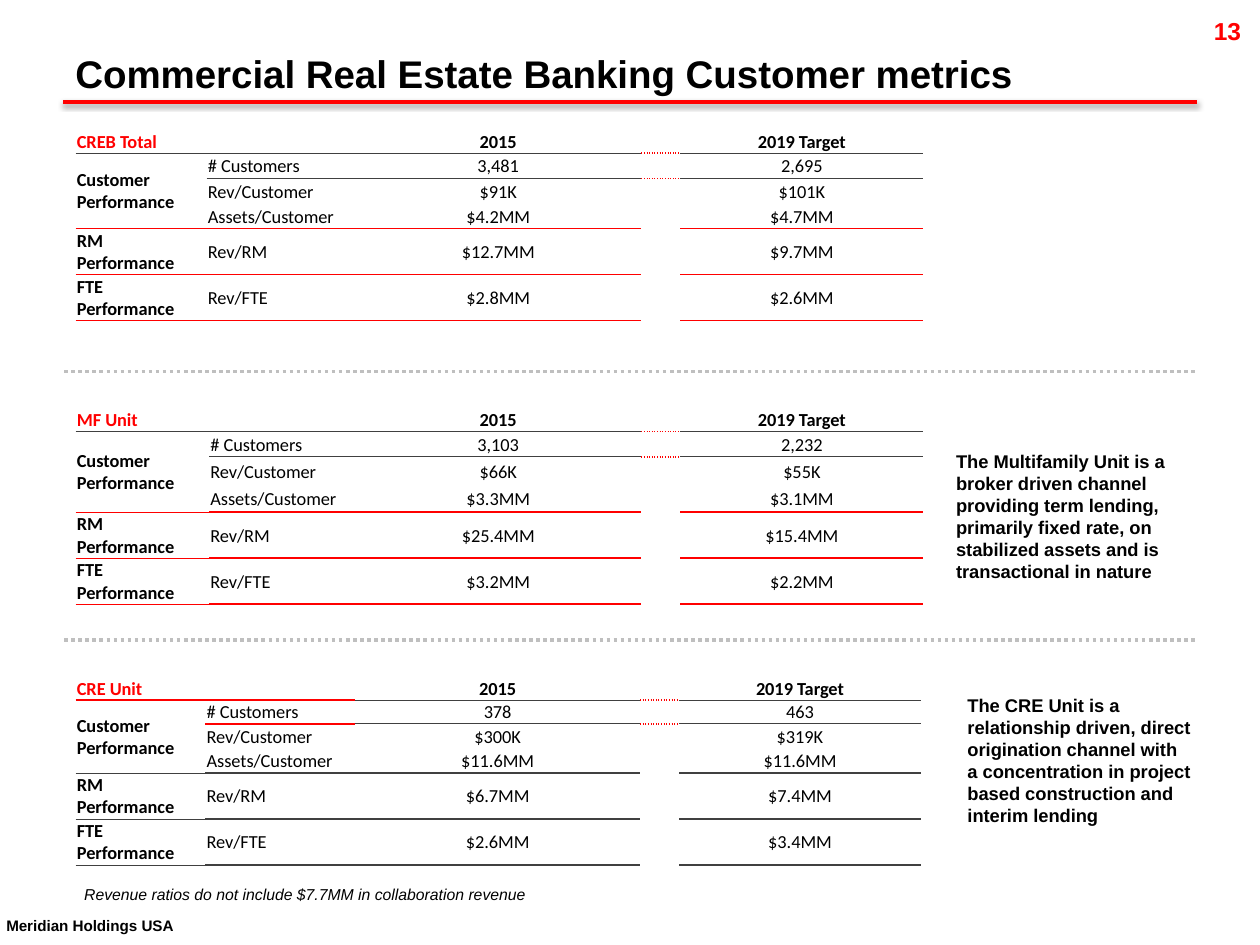
import dataclasses

import lxml.etree
import pptx
import pptx.dml.color
import pptx.enum.dml
import pptx.enum.shapes
import pptx.enum.text
import pptx.oxml
import pptx.oxml.ns
import pptx.util

ALIGN = pptx.enum.text.PP_ALIGN
ANCHOR = pptx.enum.text.MSO_ANCHOR
PLAIN_TABLE_STYLE = "{2D5ABB26-0587-4C30-8999-92F81FD0307C}"


@dataclasses.dataclass(frozen=True)
class Theme:
    """Colours, fonts and type sizes of the slide."""
    red: str = "FF0000"
    black: str = "000000"
    rule: str = "404040"
    divider: str = "BFBFBF"
    heading_font: str = "Arial"
    table_font: str = "Calibri"
    title: float = 22
    number: float = 14
    footer: float = 15
    body: float = 10.5
    footnote: float = 9


@dataclasses.dataclass(frozen=True)
class Box:
    """A place on a grid of 100 columns by 75 rows."""
    left: float
    top: float
    width: float
    height: float


@dataclasses.dataclass(frozen=True)
class Unit:
    """The figures, row heights and line colours of one metrics table."""
    name: str
    current: tuple
    target: tuple
    columns: tuple
    rows: tuple
    name_rule: str
    header_rule: str
    group_rule: str


THEME = Theme()
GRID = pptx.util.Inches(0.1)
METRICS = ("# Customers", "Rev/Customer", "Assets/Customer", "Rev/RM", "Rev/FTE")
GROUPS = {1: "Customer Performance", 4: "RM\nPerformance", 5: "FTE\nPerformance"}
GROUP_ENDS = (3, 4, 5)
GAP_COLUMN = 3


def grid(*lengths):
    """Turn grid steps into slide lengths."""
    return [pptx.util.Emu(round(length * GRID)) for length in lengths]


def style(paragraph, size, color, font=THEME.heading_font, bold=True, italic=False,
          align=ALIGN.LEFT):
    """Set the alignment and font of a paragraph."""
    paragraph.alignment = align
    paragraph.font.name = font
    paragraph.font.size = pptx.util.Pt(size)
    paragraph.font.bold = bold
    paragraph.font.italic = italic
    paragraph.font.color.rgb = pptx.dml.color.RGBColor.from_string(color)


def add_text(slide, box, text, size, color=THEME.black, anchor=ANCHOR.TOP, inset=1, **options):
    """Place a wrapped line of text in a box."""
    shape = slide.shapes.add_textbox(*grid(box.left, box.top, box.width, box.height))
    frame = shape.text_frame
    frame.word_wrap = True
    frame.vertical_anchor = anchor
    frame.margin_left, frame.margin_right = grid(inset, inset)
    paragraph = frame.paragraphs[0]
    paragraph.text = text
    style(paragraph, size, color, **options)
    return paragraph


def add_rule(slide, box, color, dash=None, shadow=False):
    """Draw a horizontal rule along the top of a box."""
    left, top, right = grid(box.left, box.top, box.left + box.width)
    connector = slide.shapes.add_connector(
        pptx.enum.shapes.MSO_CONNECTOR.STRAIGHT, left, top, right, top)
    connector.line.width = pptx.util.Pt(2)
    connector.line.color.rgb = pptx.dml.color.RGBColor.from_string(color)
    if dash:
        connector.line.dash_style = dash
    properties = connector._element.spPr
    effects = lxml.etree.SubElement(properties, pptx.oxml.ns.qn("a:effectLst"))
    if shadow:
        effects.append(pptx.oxml.parse_xml(
            f'<a:outerShdw {pptx.oxml.ns.nsdecls("a")} blurRad="39370" dist="20320" '
            'dir="5400000" rotWithShape="0"><a:srgbClr val="000000">'
            '<a:alpha val="38000"/></a:srgbClr></a:outerShdw>'))


def add_border(cell, side, color, width, dash="solid"):
    """Add one line to a cell, in the order top then bottom."""
    cell._tc.get_or_add_tcPr().append(pptx.oxml.parse_xml(
        f'<a:ln{side} {pptx.oxml.ns.nsdecls("a")} w="{round(width * 12700)}">'
        f'<a:solidFill><a:srgbClr val="{color}"/></a:solidFill>'
        f'<a:prstDash val="{dash}"/></a:ln{side}>'))


def line_below(unit, row, column):
    """Give the colour, width and dash of the line under a cell, if it has one."""
    if row == 0:
        if column == GAP_COLUMN:
            return THEME.red, 1, "sysDot"
        if column < 2:
            return unit.name_rule, 1 if unit.name_rule == THEME.red else 0.5
        return unit.header_rule, 0.5
    if row in GROUP_ENDS and column != GAP_COLUMN:
        return unit.group_rule, 0.5 if column == 0 else 1
    return None


def fill_cell(cell, text, color, bold, align):
    """Write one table cell with tight margins and no fill."""
    cell.fill.background()
    cell.vertical_anchor = ANCHOR.MIDDLE
    cell.margin_left, cell.margin_top, cell.margin_right, cell.margin_bottom = grid(
        0.1, 0.1, 0.1, 0)
    cell.text = text
    for paragraph in cell.text_frame.paragraphs:
        style(paragraph, THEME.body, color, THEME.table_font, bold, align=align)
        if not text:
            end = lxml.etree.SubElement(paragraph._p, pptx.oxml.ns.qn("a:endParaRPr"))
            end.set("sz", str(round(THEME.body * 100)))


def add_metrics(slide, box, unit):
    """Build the table of one unit: groups, metrics, 2015 and target."""
    frame = slide.shapes.add_table(
        len(unit.rows), len(unit.columns), *grid(box.left, box.top, box.width, box.height))
    table = frame.table
    table.first_row = table.horz_banding = False
    table._tbl.tblPr.find(pptx.oxml.ns.qn("a:tableStyleId")).text = PLAIN_TABLE_STYLE
    for column, width in zip(table.columns, grid(*unit.columns)):
        column.width = width
    for row, height in zip(table.rows, grid(*unit.rows)):
        row.height = height
    lines = [[unit.name, "", "2015", "", "2019 Target"]]
    for row, values in enumerate(zip(METRICS, unit.current, unit.target), 1):
        metric, current, target = values
        lines.append([GROUPS.get(row, ""), metric, current, "", target])
    for row, texts in enumerate(lines):
        for column, text in enumerate(texts):
            cell = table.cell(row, column)
            above = line_below(unit, row - 1, column) if row else None
            last_row = 3 if (row, column) == (1, 0) else row
            below = line_below(unit, last_row, column)
            for side, line in (("T", above), ("B", below)):
                if line:
                    add_border(cell, side, *line)
            fill_cell(cell, text, THEME.red if row == column == 0 else THEME.black,
                      row == 0 or column == 0, ALIGN.CENTER if column > 1 else ALIGN.LEFT)
    table.cell(0, 0).merge(table.cell(0, 1))
    table.cell(1, 0).merge(table.cell(3, 0))


def add_header(slide, box):
    """Place the slide number, title and red rule."""
    add_text(slide, Box(box.left + 90.5, box.top + 0.8, 3.6, 3.4), "13", THEME.number,
             THEME.red, inset=0.6, align=ALIGN.RIGHT)
    add_text(slide, Box(box.left, box.top + 3.4, box.width, 4.7),
             "Commercial Real Estate Banking Customer metrics", THEME.title,
             anchor=ANCHOR.BOTTOM)
    add_rule(slide, Box(box.left, box.top + box.height, box.width, 0), THEME.red, shadow=True)


def add_footer(slide, box):
    """Place the footnote and the raised company name."""
    add_text(slide, Box(box.left + 5.7, box.top, 62.3, 2.5),
             "Revenue ratios do not include $7.7MM in collaboration revenue",
             THEME.footnote, bold=False, italic=True)
    company = add_text(slide, Box(box.left, box.top + 2.7, 19, 2.6), "Meridian Holdings USA",
                       THEME.footer, anchor=ANCHOR.MIDDLE, inset=0.5)
    company.runs[0]._r.get_or_add_rPr().set("baseline", "30000")


def main():
    """Build and save the slide."""
    presentation = pptx.Presentation()
    presentation.slide_width, presentation.slide_height = grid(100, 75)
    slide = presentation.slides.add_slide(presentation.slide_layouts[6])
    red, rule = THEME.red, THEME.rule
    add_header(slide, Box(5, 0, 90, 8.1))
    add_metrics(slide, Box(6, 10.3, 67.3, 15.1), Unit(
        "CREB Total", ("3,481", "$91K", "$4.2MM", "$12.7MM", "$2.8MM"),
        ("2,695", "$101K", "$4.7MM", "$9.7MM", "$2.6MM"),
        (10.4, 11.8, 22.7, 3.1, 19.3), (1.85, 2, 2.1, 1.9, 3.65, 3.65), rule, rule, red))
    add_metrics(slide, Box(6, 32.4, 67.3, 15.5), Unit(
        "MF Unit", ("3,103", "$66K", "$3.3MM", "$25.4MM", "$3.2MM"),
        ("2,232", "$55K", "$3.1MM", "$15.4MM", "$2.2MM"),
        (10.6, 11.6, 22.7, 3.1, 19.3), (1.85, 2, 2.3, 2.1, 3.65, 3.65), rule, rule, red))
    add_metrics(slide, Box(6, 53.7, 67.1, 14.9), Unit(
        "CRE Unit", ("378", "$300K", "$11.6MM", "$6.7MM", "$2.6MM"),
        ("463", "$319K", "$11.6MM", "$7.4MM", "$3.4MM"),
        (10.3, 11.9, 22.6, 3.1, 19.2), (1.85, 1.9, 2, 1.9, 3.65, 3.65), red, rule, rule))
    for top in (29.5, 50.8):
        add_rule(slide, Box(5.1, top, 90, 0), THEME.divider,
                 pptx.enum.dml.MSO_LINE.ROUND_DOT)
    add_text(slide, Box(74.9, 35.2, 20.7, 11.6),
             "The Multifamily Unit is a broker driven channel providing term lending, primarily "
             "fixed rate, on stabilized assets and is transactional in nature", THEME.body)
    add_text(slide, Box(75.8, 54.6, 19.8, 13.4),
             "The CRE Unit is a relationship driven, direct origination channel with a "
             "concentration in project based construction and interim lending", THEME.body)
    add_footer(slide, Box(0, 69.7, 100, 5.3))
    presentation.save("out.pptx")


if __name__ == "__main__":
    main()
